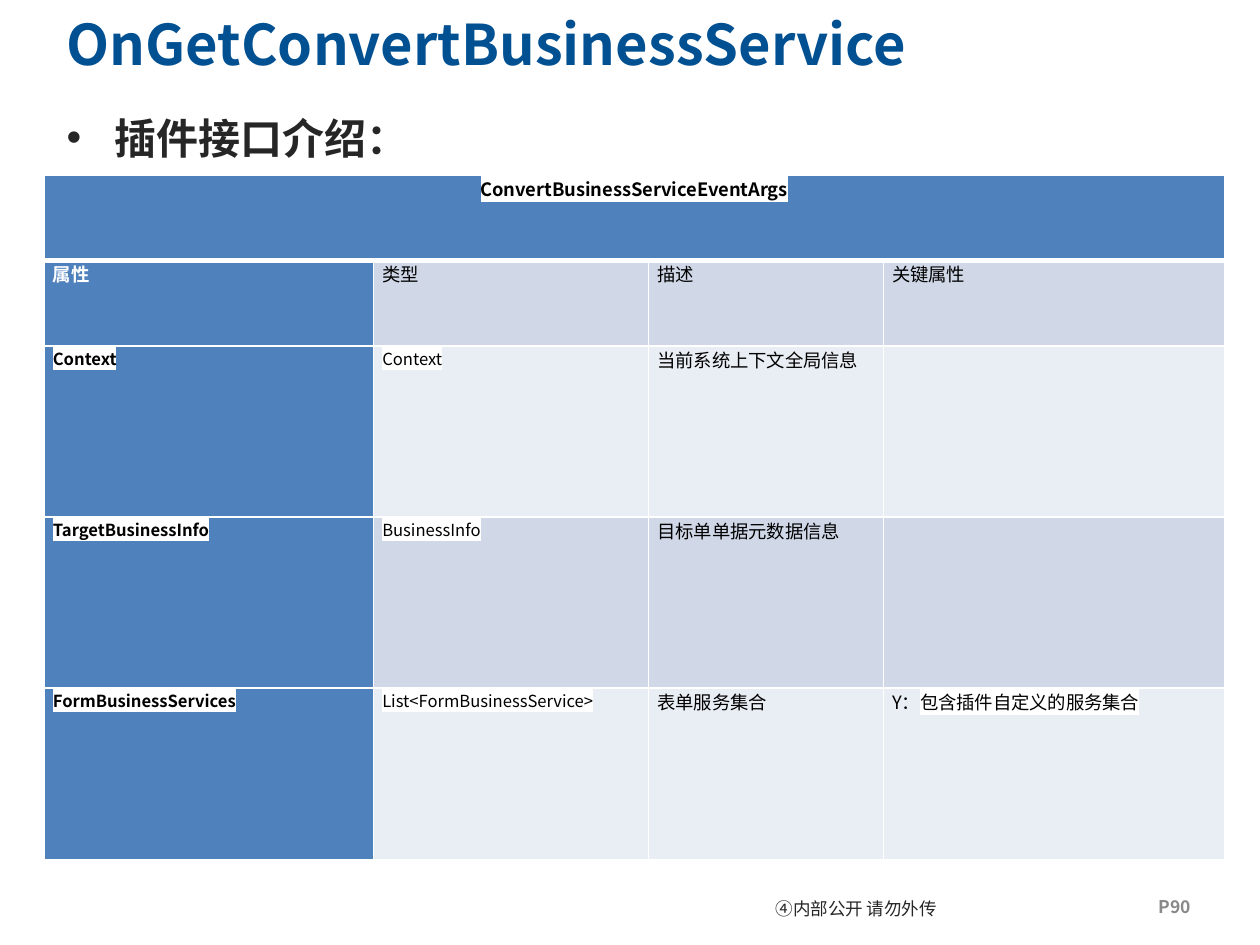
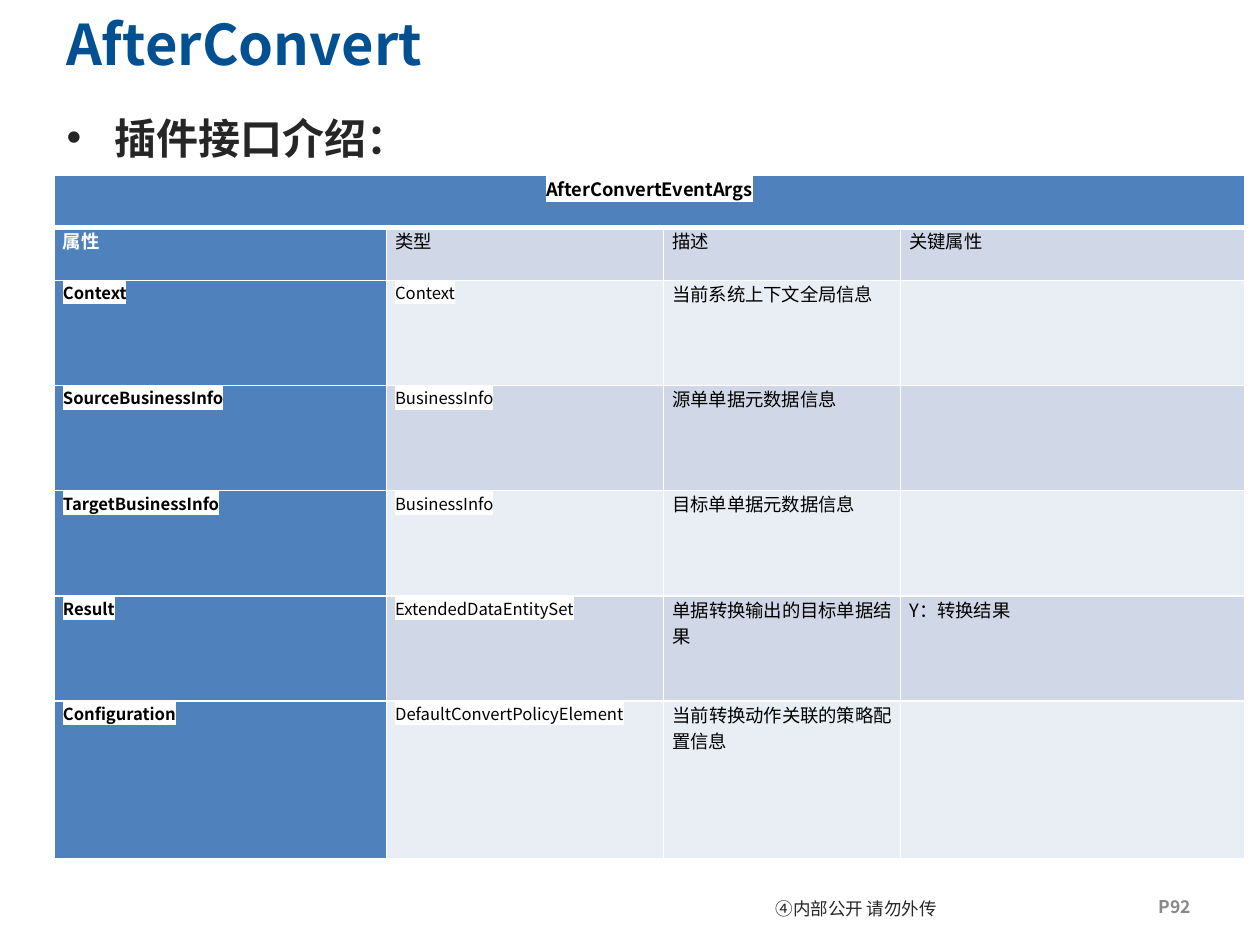
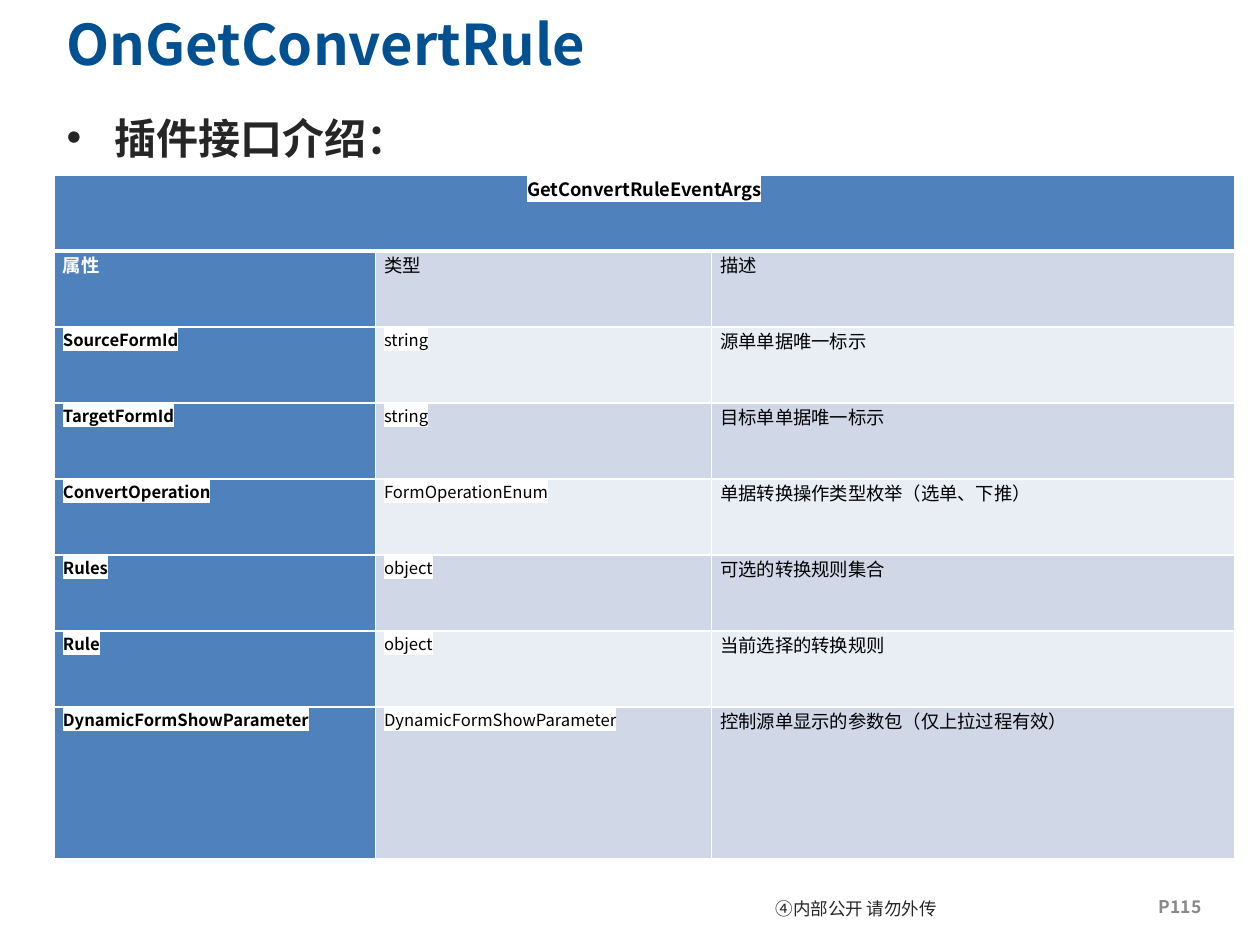
from lxml import etree
from pptx import Presentation
from pptx.dml.color import RGBColor
from pptx.enum.lang import MSO_LANGUAGE_ID
from pptx.enum.text import MSO_ANCHOR, PP_ALIGN
from pptx.oxml.ns import qn
from pptx.util import Inches, Pt

CENTER, JUSTIFY, LEFT = PP_ALIGN.CENTER, PP_ALIGN.JUSTIFY, PP_ALIGN.LEFT
TOP, MIDDLE = MSO_ANCHOR.TOP, MSO_ANCHOR.MIDDLE
CHINESE = MSO_LANGUAGE_ID.SIMPLIFIED_CHINESE

W, H = Inches(10), Inches(7.5)
FONT = "Noto Sans CJK SC"
WHITE, BLACK, INK, GREY = "FFFFFF", "000000", "262626", "898989"
TITLE_BLUE, HEAD_BLUE = "005092", "4F81BD"
BANDS = ("E9EDF4", "D0D8E8")

# Boxes: left, top, width, height in percent of the slide
TITLE_BOX = (4.3, 0, 73.2, 9.07)
BODY_BOX = (4.3, 11.2, 91.2, 74.93)
NOTICE_BOX = (59.1, 93.6, 17.7, 4.8)
PAGE_BOX = (91, 94.13, 9, 3.6)
TABLE_TOP, TABLE_HEIGHT = 18.53, 72.4

HEADINGS = ("属性", "类型", "描述", "关键属性")
FOUR_COLS = (27.9, 23.3, 19.9, 28.9)
THREE_COLS = (27.2, 28.5, 44.3)
CONTEXT = ("Context", "Context", "当前系统上下文全局信息", "")
TARGET = ("TargetBusinessInfo", "BusinessInfo", "目标单单据元数据信息", "")

# A cell given as a tuple holds a plain run and a highlighted run
SLIDES = [
    dict(title="OnGetConvertBusinessService", page="P90",
         args="ConvertBusinessServiceEventArgs",
         left=3.5, width=93.7, cols=FOUR_COLS, last_units=2,
         rows=[CONTEXT, TARGET,
               ("FormBusinessServices", "List<FormBusinessService>", "表单服务集合",
                ("Y：", "包含插件自定义的服务集合"))], units=2),
    dict(title="AfterConvert", page="P92", args="AfterConvertEventArgs",
         left=4.3, width=94.5, cols=FOUR_COLS, last_units=3,
         rows=[CONTEXT,
               ("SourceBusinessInfo", "BusinessInfo", "源单单据元数据信息", ""),
               TARGET,
               ("Result", "ExtendedDataEntitySet", "单据转换输出的目标单据结果",
                "Y：转换结果"),
               ("Configuration", "DefaultConvertPolicyElement",
                "当前转换动作关联的策略配置信息", "")], units=2),
    dict(title="OnGetConvertRule", page="P115", args="GetConvertRuleEventArgs",
         left=4.3, width=93.7, cols=THREE_COLS, last_units=2,
         rows=[("SourceFormId", "string", "源单单据唯一标示"),
               ("TargetFormId", "string", "目标单单据唯一标示"),
               ("ConvertOperation", "FormOperationEnum",
                "单据转换操作类型枚举（选单、下推）"),
               ("Rules", "object", "可选的转换规则集合"),
               ("Rule", "object", "当前选择的转换规则"),
               ("DynamicFormShowParameter", "DynamicFormShowParameter",
                "控制源单显示的参数包（仅上拉过程有效）")], units=1),
]


def rgb(color):
    return RGBColor.from_string(color)


def place(box):
    """Turn percentages of the slide into lengths."""
    return [round(size * share / 100) for size, share in zip((W, H, W, H), box)]


def add_solid(parent, color):
    fill = etree.SubElement(parent, qn("a:solidFill"))
    etree.SubElement(fill, qn("a:srgbClr"), val=color)


def style_run(r, size, color, bold=False, marked=False):
    """Format a run; a marked run has a white highlight."""
    font = r.font
    font.size, font.bold, font.name = Pt(size), bold, FONT
    font.color.rgb = rgb(color)
    font.language_id = CHINESE
    latin = r._r.rPr.find(qn("a:latin"))
    latin.addnext(etree.Element(qn("a:ea"), typeface=FONT))
    if marked:
        highlight = etree.Element(qn("a:highlight"))
        etree.SubElement(highlight, qn("a:srgbClr"), val=WHITE)
        latin.addprevious(highlight)


def add_text(s, box, text, size, color, bold=True, anchor=TOP, align=LEFT):
    tf = s.shapes.add_textbox(*place(box)).text_frame
    tf.word_wrap, tf.vertical_anchor = True, anchor
    p = tf.paragraphs[0]
    p.text, p.alignment = text, align
    style_run(p.runs[0], size, color, bold)
    return tf


def add_heading(s, title):
    add_text(s, TITLE_BOX, title, 32, TITLE_BLUE, anchor=MIDDLE)
    p = add_text(s, BODY_BOX, "插件接口介绍：", 24, INK).paragraphs[0]
    indent = Inches(0.38)
    pPr = p._p.get_or_add_pPr()
    pPr.set("marL", str(indent))
    pPr.set("indent", str(-indent))
    etree.SubElement(pPr, qn("a:buFont"), typeface="Arial")
    etree.SubElement(pPr, qn("a:buChar"), char="•")


def add_footer(s, page):
    tf = add_text(s, NOTICE_BOX, "④内部公开 请勿外传", 10, INK, bold=False,
                  anchor=MIDDLE, align=CENTER)
    tf.margin_left = tf.margin_right = Inches(0.08)
    tf.margin_top = tf.margin_bottom = Inches(0.01)
    tf.paragraphs[0].line_spacing = Pt(14)
    add_text(s, PAGE_BOX, page, 10, GREY)


def set_borders(cell, top, bottom):
    tcPr = cell._tc.get_or_add_tcPr()
    widths = {"lnL": 1, "lnR": 1, "lnT": top, "lnB": bottom}
    for i, (tag, width) in enumerate(widths.items()):
        ln = etree.Element(qn(f"a:{tag}"), w=str(Pt(width)))
        add_solid(ln, WHITE)
        tcPr.insert(i, ln)


def fill_cell(cell, row, col, content):
    """Write one cell: row 0 is the banner, row 1 the headings."""
    cell.margin_left = cell.margin_right = Inches(0.07)
    cell.margin_top = cell.margin_bottom = 0
    cell.fill.solid()
    cell.fill.fore_color.rgb = rgb(HEAD_BLUE if row == 0 or col == 0
                                   else BANDS[row % 2])
    set_borders(cell, top=3 if row == 1 else 1, bottom=3 if row == 0 else 1)
    if not content:
        return
    p = cell.text_frame.paragraphs[0]
    p.alignment = JUSTIFY if row else CENTER
    is_code = row > 1 and col < 2
    color = WHITE if row == 1 and col == 0 else BLACK
    runs = content if isinstance(content, tuple) else (content,)
    for i, text in enumerate(runs):
        r = p.add_run()
        r.text = text
        style_run(r, 9.5 if is_code else 10.5, color, bold=col == 0,
                  marked=is_code or row == 0 or i > 0)


def add_args_table(s, box, args, cols, rows, units):
    """Units are the relative heights of the rows."""
    grid = [(args,) + ("",) * (len(cols) - 1), HEADINGS[:len(cols)], *rows]
    x, y, width, height = place(box)
    table = s.shapes.add_table(len(grid), len(cols), x, y, width, height).table
    table.first_row = table.horz_banding = False
    for column, share in zip(table.columns, cols):
        column.width = round(width * share / 100)
    for row, unit in zip(table.rows, units):
        row.height = round(height * unit / sum(units))
    for i, line in enumerate(grid):
        for j, content in enumerate(line):
            fill_cell(table.cell(i, j), i, j, content)
    table.cell(0, 0).merge(table.cell(0, len(cols) - 1))


def add_interface_slide(prs, title, page, args, left, width, cols, rows,
                        units, last_units):
    s = prs.slides.add_slide(prs.slide_layouts[6])
    add_footer(s, page)
    add_heading(s, title)
    heights = [1, 1] + [units] * (len(rows) - 1) + [last_units]
    add_args_table(s, (left, TABLE_TOP, width, TABLE_HEIGHT), args, cols, rows,
                   heights)


def main():
    prs = Presentation()
    prs.slide_width, prs.slide_height = W, H
    for slide in SLIDES:
        add_interface_slide(prs, **slide)
    prs.save("out.pptx")


if __name__ == "__main__":
    main()
